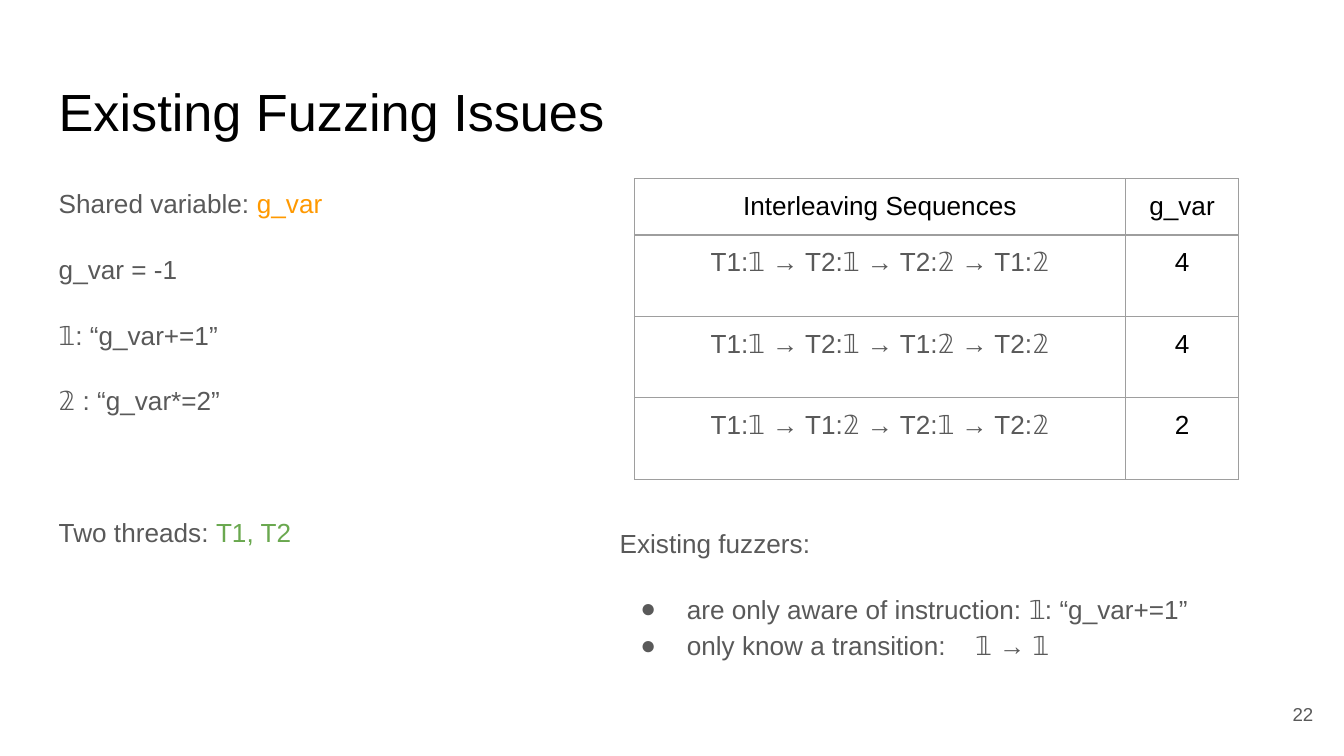
"""Build the slide on existing fuzzing issues."""
from dataclasses import dataclass

from lxml import etree
from pptx import Presentation
from pptx.dml.color import RGBColor
from pptx.enum.text import MSO_ANCHOR, MSO_AUTO_SIZE, PP_ALIGN
from pptx.oxml.ns import qn
from pptx.util import Cm, Pt

LEFT, MID, RIGHT = PP_ALIGN.LEFT, PP_ALIGN.CENTER, PP_ALIGN.RIGHT
TOP, CENTER = MSO_ANCHOR.TOP, MSO_ANCHOR.MIDDLE
FIXED = MSO_AUTO_SIZE.NONE


@dataclass(frozen=True)
class Theme:
    font: str = "Arial"
    head: int = 28
    body: int = 14
    note: int = 10
    lead: float = 1.15
    gap: int = 16
    pad: float = 0.25
    rule: float = 0.75
    dark: str = "000000"
    gray: str = "595959"
    edge: str = "9E9E9E"
    gold: str = "FF9900"
    green: str = "6AA84F"


THEME = Theme()


def add_tag(node, name, **attrs):
    tag = etree.SubElement(node, qn(name))
    for key, value in attrs.items():
        tag.set(key, str(value))
    return tag


def style(font, size, color):
    font.name = THEME.font
    font.size = Pt(size)
    font.color.rgb = RGBColor.from_string(color)


def place(shape, left, top, width, height, anchor=TOP):
    shape.left, shape.top = Cm(left), Cm(top)
    shape.width, shape.height = Cm(width), Cm(height)
    frame = shape.text_frame
    frame.word_wrap = True
    frame.auto_size = FIXED
    frame.vertical_anchor = anchor
    frame.margin_left = frame.margin_right = Cm(THEME.pad)
    frame.margin_top = frame.margin_bottom = Cm(THEME.pad)
    return frame


def write(para, text, size, color, align):
    para.text = text
    para.alignment = align
    style(para.font, size, color)


def add_line(frame, text, gap=THEME.gap, bullet=False):
    first = not frame.text
    para = frame.paragraphs[0] if first else frame.add_paragraph()
    para.line_spacing = THEME.lead
    para.space_before = Pt(0 if first else gap)
    props = para._p.get_or_add_pPr()
    props.set("marL", str(Cm(1.27 if bullet else 0)))
    props.set("indent", str(Cm(-0.88 if bullet else 0)))
    if bullet:
        color = add_tag(props, "a:buClr")
        add_tag(color, "a:srgbClr", val=THEME.gray)
        add_tag(props, "a:buFont", typeface=THEME.font)
        add_tag(props, "a:buChar", char="●")
    else:
        add_tag(props, "a:buNone")
    write(para, text, THEME.body, THEME.gray, LEFT)
    return para


def add_mark(para, text, color):
    run = para.add_run()
    run.text = text
    run.font.color.rgb = RGBColor.from_string(color)


def add_space(para, width):
    run = para.add_run()
    run.text = " "
    run._r.get_or_add_rPr().set("spc", str(round(width * 100)))


def add_edges(cell):
    props = cell._tc.get_or_add_tcPr()
    for side in "LRTB":
        line = add_tag(props, f"a:ln{side}", w=Pt(THEME.rule))
        fill = add_tag(line, "a:solidFill")
        add_tag(fill, "a:srgbClr", val=THEME.edge)


def fill_cell(cell, text, color):
    cell.margin_left = cell.margin_right = Cm(THEME.pad)
    cell.margin_top = cell.margin_bottom = Cm(THEME.pad)
    add_edges(cell)
    cell.fill.background()
    write(cell.text_frame.paragraphs[0], text, THEME.body, color, MID)


def add_grid(slide, rows):
    widths, heights = (9.28, 2.14), (1.06, 1.54, 1.54, 1.54)
    table = slide.shapes.add_table(
        len(rows), len(widths), Cm(11.99), Cm(3.38),
        Cm(sum(widths)), Cm(sum(heights))).table
    table.first_row = table.horz_banding = False
    for col, width in zip(table.columns, widths):
        col.width = Cm(width)
    for row, height in zip(table.rows, heights):
        row.height = Cm(height)
    for r, row in enumerate(rows):
        for c, text in enumerate(row):
            color = THEME.gray if r and not c else THEME.dark
            fill_cell(table.cell(r, c), text, color)


def add_setup(shape):
    frame = place(shape, 0.86, 3.2, 9.83, 9.5)
    add_mark(add_line(frame, "Shared variable: "), "g_var", THEME.gold)
    for text in ("g_var = -1", "𝟙: “g_var+=1”", "𝟚 : “g_var*=2”"):
        add_line(frame, text)
    last = add_line(frame, "Two threads: ", gap=51.4)
    add_mark(last, "T1, T2", THEME.green)


def add_limits(shape):
    frame = place(shape, 11.46, 9.63, 13.44, 3.53)
    add_line(frame, "Existing fuzzers:")
    add_line(frame, "are only aware of instruction: 𝟙: “g_var+=1”", bullet=True)
    last = add_line(frame, "only know a transition:", gap=0, bullet=True)
    add_space(last, 11.7)
    add_mark(last, "𝟙 → 𝟙", THEME.gray)


def main():
    deck = Presentation()
    deck.slide_width, deck.slide_height = Cm(25.4), Cm(14.29)
    slide = deck.slides.add_slide(deck.slide_layouts[3])
    title, setup, limits = slide.placeholders
    frame = place(title, 0.86, 1.24, 23.67, 1.6)
    write(frame.paragraphs[0], "Existing Fuzzing Issues",
          THEME.head, THEME.dark, LEFT)
    add_setup(setup)
    add_limits(limits)
    add_grid(slide, [
        ("Interleaving Sequences", "g_var"),
        ("T1:𝟙 → T2:𝟙 → T2:𝟚 → T1:𝟚", "4"),
        ("T1:𝟙 → T2:𝟙 → T1:𝟚 → T2:𝟚", "4"),
        ("T1:𝟙 → T1:𝟚 → T2:𝟙 → T2:𝟚", "2"),
    ])
    number = slide.shapes.add_textbox(0, 0, 0, 0)
    frame = place(number, 23.55, 12.95, 1.52, 1.09, CENTER)
    write(frame.paragraphs[0], "22", THEME.note, THEME.gray, RIGHT)
    deck.save("out.pptx")


if __name__ == "__main__":
    main()
